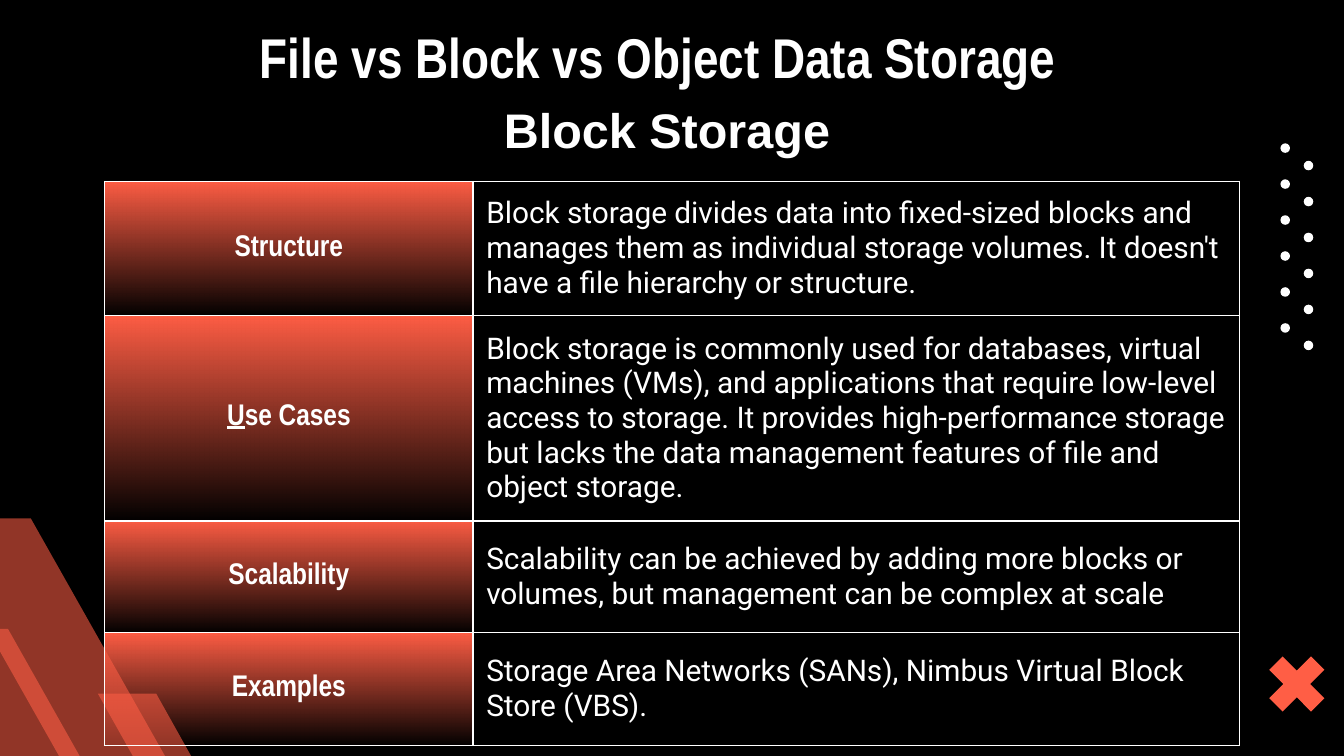
from lxml import etree
from pptx import Presentation
from pptx.dml.color import RGBColor
from pptx.enum.shapes import MSO_SHAPE
from pptx.enum.text import MSO_ANCHOR, PP_ALIGN
from pptx.oxml import parse_xml
from pptx.oxml.ns import nsdecls, qn
from pptx.util import Cm, Pt

DOT = MSO_SHAPE.OVAL
CROSS = MSO_SHAPE.MATH_MULTIPLY
SLANT = MSO_SHAPE.PARALLELOGRAM
MID, TOP = MSO_ANCHOR.MIDDLE, MSO_ANCHOR.TOP
LEFT, CENTER = PP_ALIGN.LEFT, PP_ALIGN.CENTER

ROWS = [
    (2.11, ["Structure"],
     "Block storage divides data into fixed-sized blocks and manages them as "
     "individual storage volumes. It doesn't have a file hierarchy or structure."),
    (2.29, ["U", "se Cases"],
     "Block storage is commonly used for databases, virtual machines (VMs), and "
     "applications that require low-level access to storage. It provides "
     "high-performance storage but lacks the data management features of file "
     "and object storage."),
    (2.11, ["Scalability"],
     "Scalability can be achieved by adding more blocks or volumes, but "
     "management can be complex at scale"),
    (2.13, ["Examples"],
     "Storage Area Networks (SANs), Nimbus Virtual Block Store (VBS)."),
]
SLANTS = [
    (-2.18, 11.89, 5.44, 5.51),
    (-1.42, 9.8, 4.67, 4.72),
    (1.85, 13.11, 2.57, 2.62),
]


def color(text):
    return RGBColor.from_string(text)


def fade(node, share):
    alpha = etree.SubElement(node, qn("a:alpha"))
    alpha.set("val", str(share * 1000))


def write(para, text, font="Arial Narrow", size=16, bold=True, line=None,
          align=CENTER, after=None, ink="FFFFFF"):
    para.alignment = align
    if after is not None:
        para.space_after = Pt(after)
    run = para.add_run()
    run.text = text
    run.font.name = font
    run.font.size = Pt(size)
    run.font.bold = bold
    run.font.underline = line
    run.font.color.rgb = color(ink)


class Deck:
    red, white, black = "FF5E45", "FFFFFF", "000000"
    pad = 0.25

    def __init__(self, wide, high):
        self.file = Presentation()
        self.file.slide_width, self.file.slide_height = Cm(wide), Cm(high)
        self.slide = self.file.slides.add_slide(self.file.slide_layouts[6])
        fill = self.slide.background.fill
        fill.solid()
        fill.fore_color.rgb = color(self.black)

    def shape(self, kind, box, tone, adj=None, alpha=None, flip=False):
        item = self.slide.shapes.add_shape(kind, *map(Cm, box))
        item.shadow.inherit = False
        item.fill.solid()
        item.fill.fore_color.rgb = color(tone)
        item.line.fill.background()
        if adj is not None:
            item.adjustments[0] = adj
        props = item._element.spPr
        if alpha is not None:
            fade(props.find(".//" + qn("a:srgbClr")), alpha)
        if flip:
            props.find(qn("a:xfrm")).set("flipH", "1")

    def label(self, text, box, right, anchor, **style):
        frame = self.slide.shapes.add_textbox(*map(Cm, box)).text_frame
        frame.word_wrap = True
        frame.vertical_anchor = anchor
        frame.margin_left = frame.margin_top = frame.margin_bottom = Cm(self.pad)
        frame.margin_right = Cm(right)
        write(frame.paragraphs[0], text, **style)

    def cell(self, cell):
        cell.vertical_anchor = MID
        cell.margin_left = cell.margin_right = Cm(self.pad)
        cell.margin_top = cell.margin_bottom = Cm(self.pad)
        props = cell._tc.get_or_add_tcPr()
        for spot, side in enumerate("LRTB"):
            props.insert(spot, parse_xml(
                f'<a:ln{side} {nsdecls("a")} w="{Pt(0.75)}"><a:solidFill>'
                f'<a:srgbClr val="{self.white}"/></a:solidFill></a:ln{side}>'))
        return cell.text_frame.paragraphs[0]

    def blend(self, cell):
        cell.fill.gradient()
        cell.fill.gradient_angle = 270
        for stop, place in zip(cell.fill.gradient_stops, (0, 1)):
            stop.color.rgb = color(self.red)
            stop.position = place
        props = cell._tc.get_or_add_tcPr()
        fade(props.findall(".//" + qn("a:gs") + "/" + qn("a:srgbClr"))[-1], 0)

    def table(self, rows, left, top, cols):
        high = sum(row[0] for row in rows)
        box = map(Cm, (left, top, sum(cols), high))
        grid = self.slide.shapes.add_table(len(rows), len(cols), *box).table
        for col, wide in zip(grid.columns, cols):
            col.width = Cm(wide)
        for num, (tall, head, body) in enumerate(rows):
            grid.rows[num].height = Cm(tall)
            name, note = grid.cell(num, 0), grid.cell(num, 1)
            self.blend(name)
            note.fill.solid()
            note.fill.fore_color.rgb = color(self.black)
            para = self.cell(name)
            for part in head:
                write(para, part, line=True if part == "U" else None)
            write(self.cell(note), body, font="Roboto", bold=False,
                  align=LEFT, after=16)


def main():
    deck = Deck(25.4, 14.29)
    for left, top in ((24.2, 2.71), (24.64, 3.04)):
        for step in range(6):
            deck.shape(DOT, (left, top + step * 0.68, 0.18, 0.18), deck.white)
    deck.shape(CROSS, (23.75, 12.17, 1.52, 1.52), deck.red, adj=0.235)
    for box in SLANTS:
        deck.shape(SLANT, box, deck.red, adj=0.571, alpha=57, flip=True)
    deck.label("File vs Block vs Object Data Storage", (2.01, 0.18, 21.41, 1.6),
               0.81, TOP, size=30)
    deck.table(ROWS, 1.98, 3.43, (6.96, 14.48))
    deck.label("Block Storage", (1.78, 1.98, 21.41, 0.94), 0, MID,
               font="Arial", size=26)
    deck.file.save("out.pptx")


if __name__ == "__main__":
    main()
